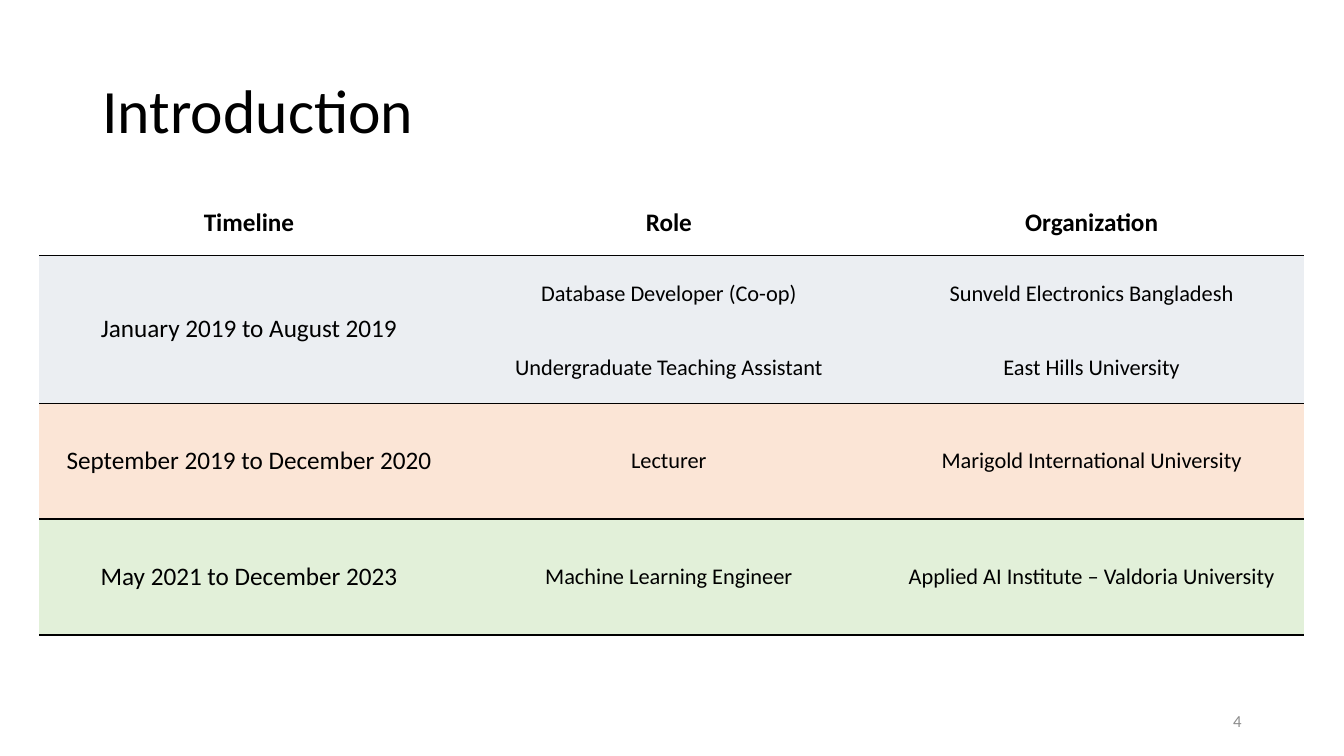
import pptx
import pptx.util
import pptx.dml.color
import pptx.enum.text
import pptx.oxml
import pptx.oxml.ns

Cm = pptx.util.Cm
ALIGN = pptx.enum.text.PP_ALIGN
MID = pptx.enum.text.MSO_ANCHOR.MIDDLE
PLAIN = "{2D5ABB26-0587-4C30-8999-92F81FD0307C}"  # no style, no grid


def color(code):
    return pptx.dml.color.RGBColor.from_string(code)


def write(frame, text, size, align, code="000000", bold=False):
    frame.vertical_anchor = MID
    para = frame.paragraphs[0]
    para.alignment = align
    run = para.add_run()
    run.text = text
    run.font.name = "Calibri"
    run.font.size = pptx.util.Pt(size)
    run.font.bold = bold
    run.font.color.rgb = color(code)
    return para


deck = pptx.Presentation()
deck.slide_width, deck.slide_height = Cm(33.87), Cm(19.05)
slide = deck.slides.add_slide(deck.slide_layouts[5])

# Title
title = slide.shapes.title
title.left, title.top = Cm(2.33), Cm(1.01)
title.width, title.height = Cm(29.21), Cm(3.68)
write(title.text_frame, "Introduction", 44, ALIGN.LEFT).line_spacing = 0.9

# Table content: fill, then the three cells
rows = [
    (None, "Timeline", "Role", "Organization"),
    ("EBEEF2", "January 2019 to August 2019", "Database Developer (Co-op)",
     "Sunveld Electronics Bangladesh"),
    ("EBEEF2", "", "Undergraduate Teaching Assistant", "East Hills University"),
    ("FBE5D6", "September 2019 to December 2020", "Lecturer",
     "Marigold International University"),
    ("E2F0D9", "May 2021 to December 2023", "Machine Learning Engineer",
     "Applied AI Institute – Valdoria University"),
]
wide = [10.57, 10.59, 10.72]
high = [1.65, 1.93, 1.8, 2.92, 2.92]

# Table frame
frame = slide.shapes.add_table(len(rows), len(wide), Cm(0.99), Cm(4.78),
                               Cm(sum(wide)), Cm(sum(high)))
table = frame.table
table.horz_banding = False
frame.element.find(".//" + pptx.oxml.ns.qn("a:tableStyleId")).text = PLAIN
for col, size in zip(table.columns, wide):
    col.width = Cm(size)
for row, size in zip(table.rows, high):
    row.height = Cm(size)
table.cell(1, 0).merge(table.cell(2, 0))

# Cells, with a rule below each period
rule = ('<a:lnB %s w="12700"><a:solidFill><a:srgbClr val="000000"/>'
        '</a:solidFill></a:lnB>' % pptx.oxml.ns.nsdecls("a"))
for r, (fill, *texts) in enumerate(rows):
    for c, text in enumerate(texts):
        cell = table.cell(r, c)
        cell.vertical_anchor = MID
        if fill:
            cell.fill.solid()
            cell.fill.fore_color.rgb = color(fill)
        else:
            cell.fill.background()
        if r != 1 or cell.is_merge_origin:
            cell._tc.get_or_add_tcPr().insert(0, pptx.oxml.parse_xml(rule))
        if text:
            size = 18 if r == 0 or c == 0 else 16
            write(cell.text_frame, text, size, ALIGN.CENTER, bold=r == 0)

# Slide number
num = slide.shapes.add_textbox(Cm(23.92), Cm(17.66), Cm(7.62), Cm(1.01))
num.text_frame.word_wrap = True
write(num.text_frame, "4", 12, ALIGN.RIGHT, "8C8C8C")

deck.save("out.pptx")
